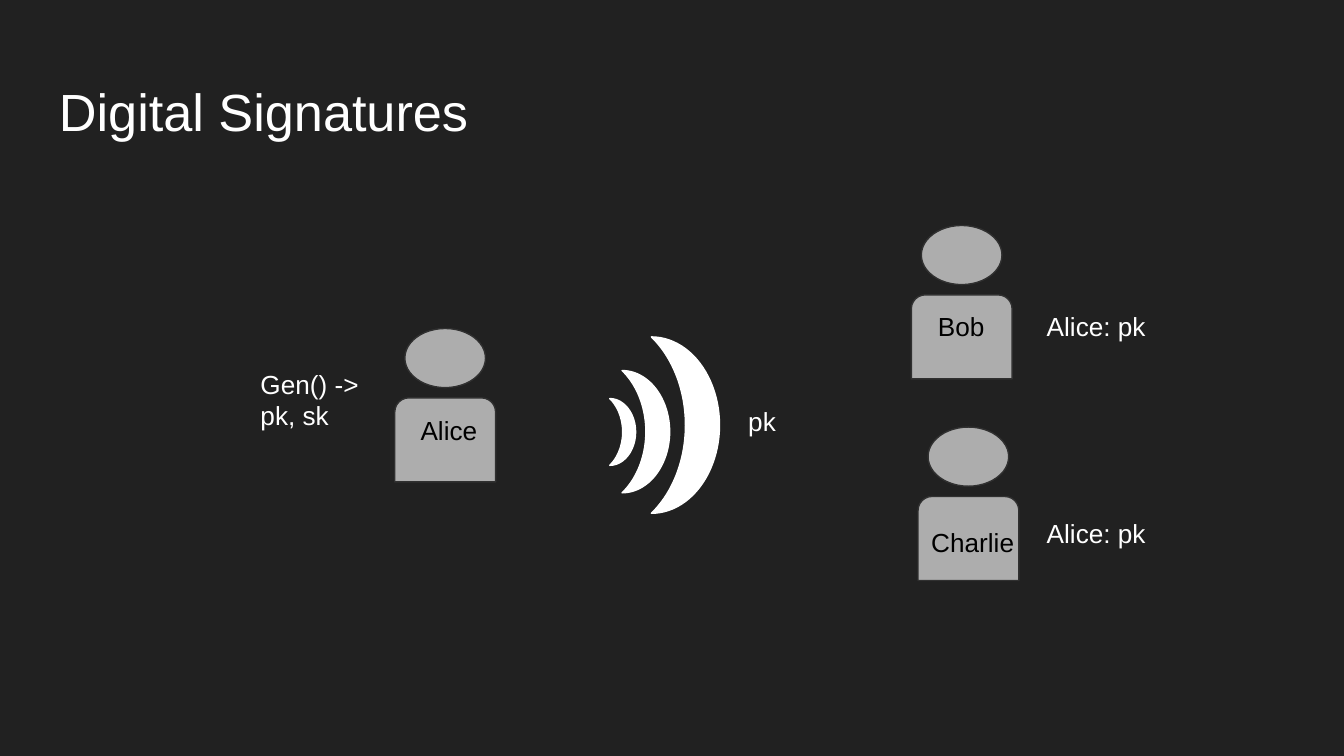
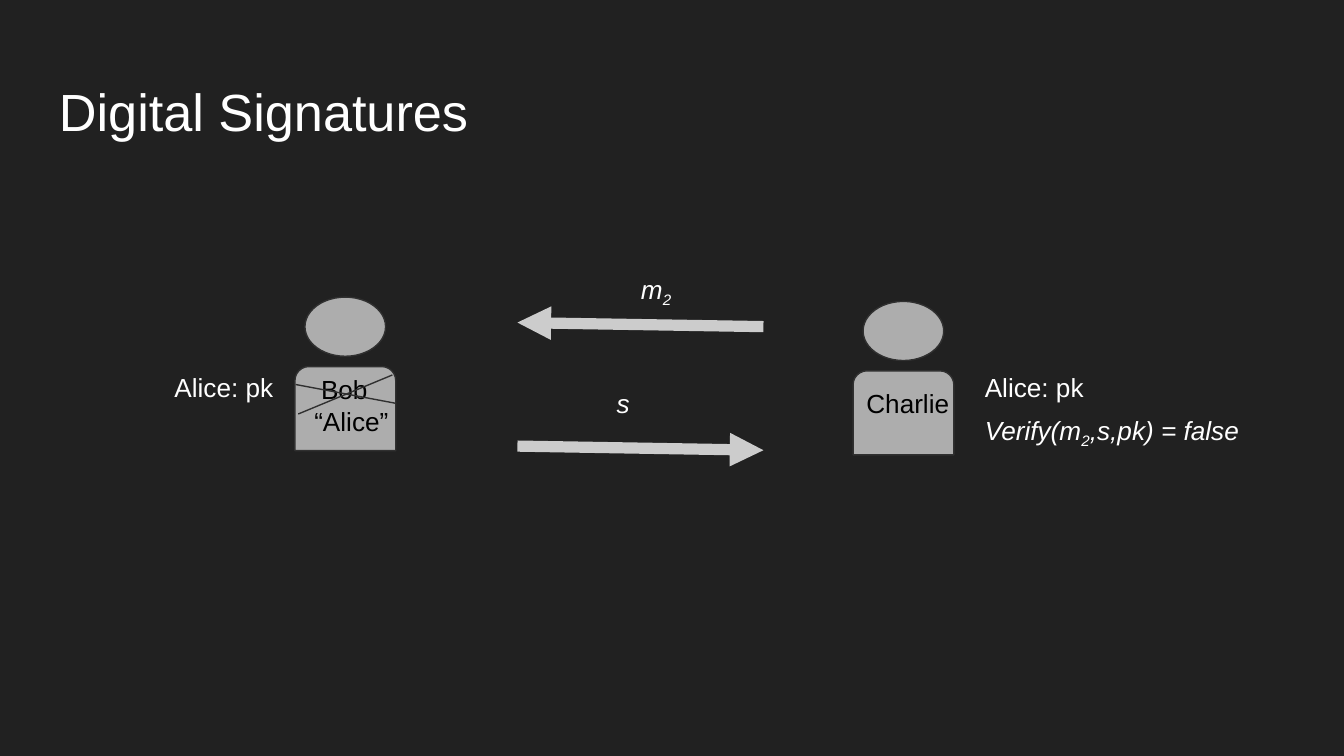
"""Build two slides on digital signatures between Alice, Bob and Charlie."""
from dataclasses import dataclass
from lxml.etree import SubElement as Sub
from pptx import Presentation
from pptx.dml.color import RGBColor as Rgb
from pptx.enum.shapes import MSO_CONNECTOR as Link, MSO_SHAPE as Kind
from pptx.oxml.ns import qn
from pptx.util import Pt


@dataclass(frozen=True)
class Theme:
    back: Rgb = Rgb.from_string("212121")
    light: Rgb = Rgb.from_string("FFFFFF")
    dark: Rgb = Rgb.from_string("000000")
    body: Rgb = Rgb.from_string("ADADAD")
    edge: Rgb = Rgb.from_string("303030")
    arrow: Rgb = Rgb.from_string("CCCCCC")
    font: str = "Arial"
    head: float = 28
    text: float = 14
    thin: float = 0.75
    thick: float = 6


class Deck:
    def __init__(self, theme):
        self.theme = theme
        self.deck = Presentation()
        self.deck.slide_width, self.deck.slide_height = Pt(720), Pt(405)
        self.slide = None

    def page(self, title):
        self.slide = self.deck.slides.add_slide(self.deck.slide_layouts[6])
        fill = self.slide.background.fill
        fill.solid()
        fill.fore_color.rgb = self.theme.back
        self.text(title, 24.5, 35.3, 671, 45.4, size=self.theme.head)

    def text(self, words, x, y, w, h=35.3, size=None, color=None, italic=False):
        box = self.slide.shapes.add_textbox(Pt(x), Pt(y), Pt(w), Pt(h))
        frame = box.text_frame
        frame.word_wrap = True
        frame.margin_left = frame.margin_right = Pt(7.2)
        frame.margin_top = frame.margin_bottom = Pt(7.2)
        for n, line in enumerate(words.split("\n")):
            para = frame.add_paragraph() if n else frame.paragraphs[0]
            font = para.font
            font.name, font.size = self.theme.font, Pt(size or self.theme.text)
            font.color.rgb = color or self.theme.light
            font.italic = italic
            for k, part in enumerate(line.split("|")):
                run = para.add_run()
                run.text = part
                if k % 2:
                    run.font._element.set("baseline", "-25000")

    def name(self, words, x, y, w):
        self.text(words, x, y, w, color=self.theme.dark)

    def shape(self, kind, x, y, w, h, fill, edge):
        item = self.slide.shapes.add_shape(kind, Pt(x), Pt(y), Pt(w), Pt(h))
        item.shadow.inherit = False
        item.fill.solid()
        item.fill.fore_color.rgb = fill
        item.line.color.rgb = edge
        item.line.width = Pt(self.theme.thin)
        return item

    def person(self, x, y):
        look = self.theme.body, self.theme.edge
        self.shape(Kind.ROUND_2_SAME_RECTANGLE, x, y, 54, 45, *look)
        self.shape(Kind.OVAL, x + 5.4, y - 37.2, 43.2, 31.7, *look)

    def wave(self, x, y, w, h):
        white = self.theme.light
        moon = self.shape(Kind.MOON, x, y, w, h, white, white)
        moon._element.spPr.find(qn("a:xfrm")).set("flipH", "1")

    def line(self, x1, y1, x2, y2, color=None, width=None):
        ends = Pt(x1), Pt(y1), Pt(x2), Pt(y2)
        item = self.slide.shapes.add_connector(Link.STRAIGHT, *ends)
        item.line.color.rgb = color or self.theme.edge
        item.line.width = Pt(width or self.theme.thin)
        Sub(item._element.spPr, qn("a:effectLst"))
        return item

    def arrow(self, x1, y1, x2, y2):
        item = self.line(x1, y1, x2, y2, self.theme.arrow, self.theme.thick)
        stroke = item._element.spPr.find(qn("a:ln"))
        Sub(stroke, qn("a:tailEnd"), type="triangle")

    def save(self):
        self.deck.save("out.pptx")


def share(deck):
    """Draw Alice sending her public key to Bob and Charlie."""
    deck.page("Digital Signatures")
    deck.person(211.5, 213.2)
    deck.name("Alice", 218.2, 214.6, 46.8)
    deck.text("Gen() ->\npk, sk", 132.5, 190, 72, 59.8)
    for moon in ((326.7, 213.5, 13.9, 35.8), (333.3, 198.5, 25.5, 65.5),
                 (349, 180.5, 36.5, 94.5)):
        deck.wave(*moon)
    deck.text("pk", 393.8, 210.2, 31)
    deck.person(488.2, 158)
    deck.name("Bob", 495.4, 159.1, 46.8)
    deck.person(491.8, 266)
    deck.name("Charlie", 491.8, 275, 72)
    for y in (159.1, 270):
        deck.text("Alice: pk", 553.7, y, 72)


def forge(deck):
    """Draw Bob posing as Alice while Charlie checks the signature."""
    deck.page("Digital Signatures")
    deck.person(457, 198.7)
    deck.name("Charlie", 457, 200.2, 65.5)
    deck.arrow(409, 175, 277.2, 172.8)
    deck.text("m|2", 336.3, 139, 77, italic=True)
    deck.arrow(277.2, 239, 409, 241.2)
    deck.text("s", 323.3, 200.2, 26, italic=True)
    deck.text("Verify(m|2|,s,pk) = false", 520.5, 214.6, 170, 28.8, italic=True)
    deck.person(158, 196.4)
    deck.name("“Alice”", 161.3, 210.2, 60.5)
    deck.name("Bob", 164.9, 193, 46.8)
    deck.line(158.4, 206, 211.7, 216)
    deck.line(159.8, 221.8, 210.2, 200.9)
    for x in (520.5, 86.4):
        deck.text("Alice: pk", x, 191.5, 72)


deck = Deck(Theme())
share(deck)
forge(deck)
deck.save()
